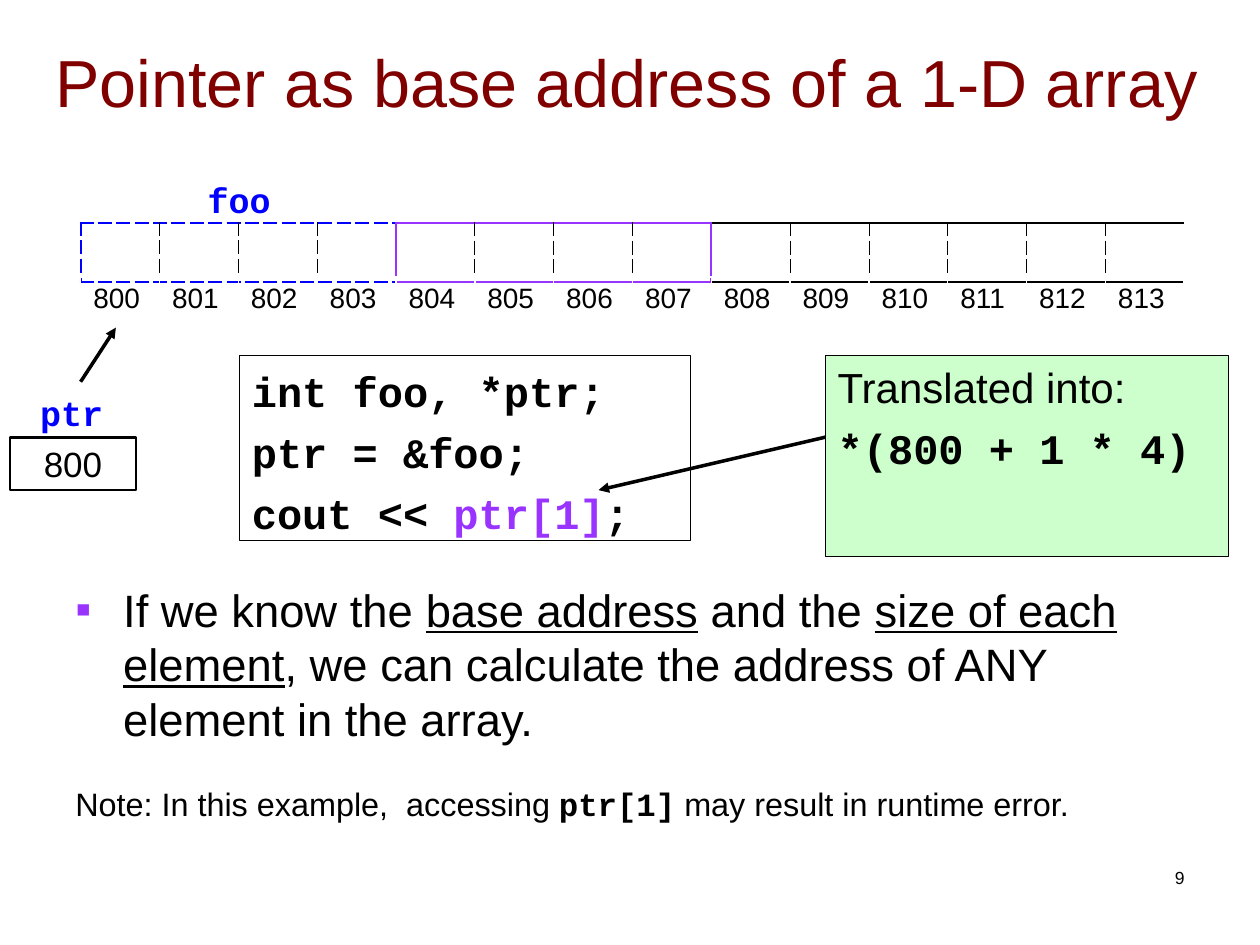
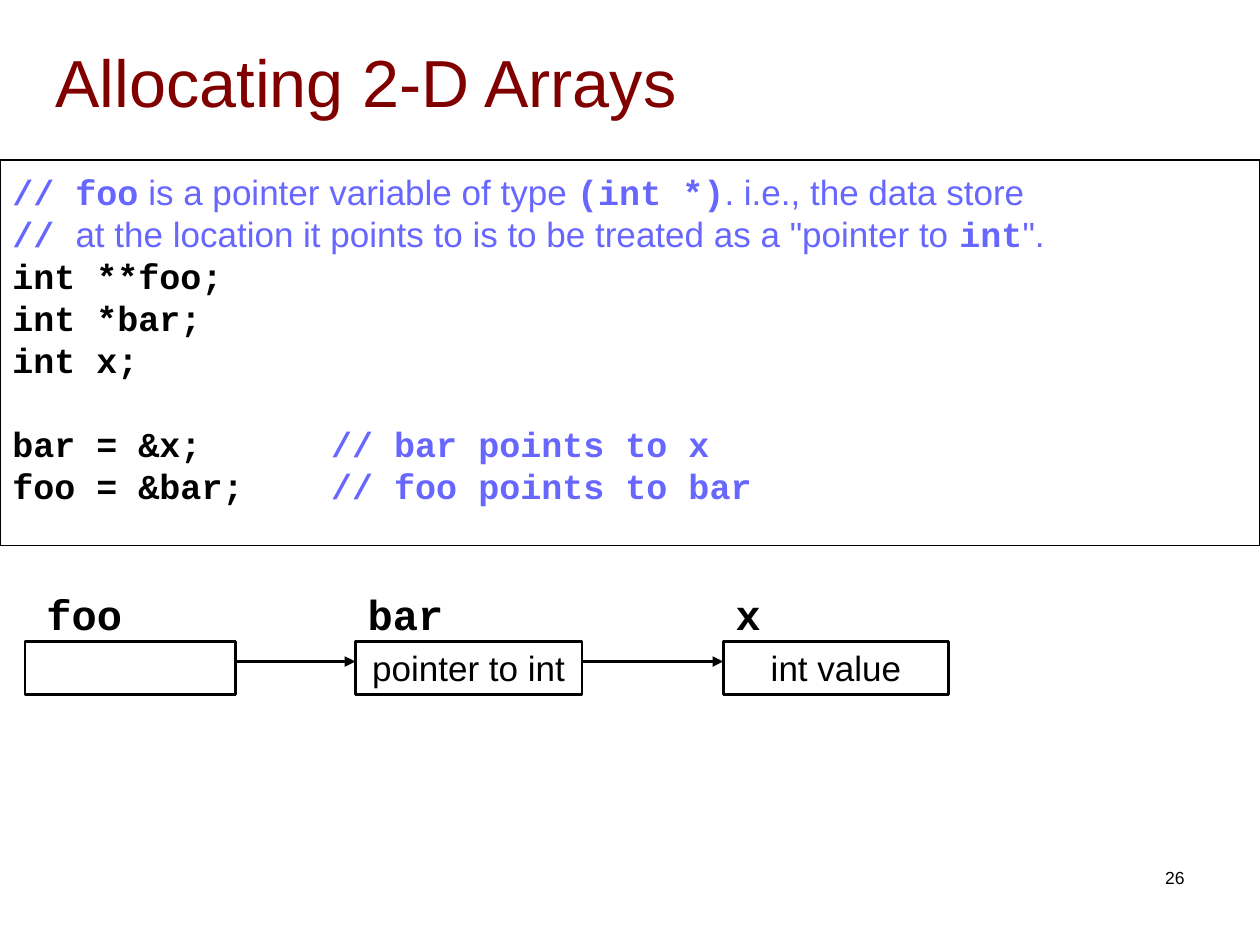
from dataclasses import dataclass

from lxml import etree
from pptx import Presentation
from pptx.dml.color import RGBColor
from pptx.enum.shapes import MSO_CONNECTOR, MSO_SHAPE
from pptx.enum.text import MSO_ANCHOR, PP_ALIGN
from pptx.oxml.ns import qn
from pptx.util import Inches, Pt

RECTANGLE = MSO_SHAPE.RECTANGLE
STRAIGHT = MSO_CONNECTOR.STRAIGHT
TOP, MIDDLE = MSO_ANCHOR.TOP, MSO_ANCHOR.MIDDLE
LEFT, CENTER, RIGHT = PP_ALIGN.LEFT, PP_ALIGN.CENTER, PP_ALIGN.RIGHT

BLACK = RGBColor(0x00, 0x00, 0x00)
WHITE = RGBColor(0xFF, 0xFF, 0xFF)
MAROON = RGBColor(0x80, 0x00, 0x00)
BLUE = RGBColor(0x00, 0x00, 0xFF)
PURPLE = RGBColor(0x99, 0x33, 0xFF)
COMMENT_BLUE = RGBColor(0x67, 0x67, 0xFF)
PALE_GREEN = RGBColor(0xCC, 0xFF, 0xCC)

SANS, MONO = "Arial", "Courier New"
COLUMNS, ROWS = 10, 7.5
LINE_HEIGHT = 1.2
CELL_COUNT, INT_BYTES, BASE_ADDRESS = 14, 4, 800
ARRAY_LEFT, ARRAY_WIDTH = 0.64, 8.76


@dataclass
class Span:
    text: str
    font: str = SANS
    color: RGBColor = BLACK
    underline: bool = False


def code(text, color=BLACK):
    return Span(text, MONO, color)


def note(text):
    return Span(text, SANS, COMMENT_BLUE)


def grid(*lengths):
    return [Inches(length) for length in lengths]


def style_font(font, span, size):
    font.name = span.font
    font.size = Pt(size)
    font.bold = span.font == MONO
    font.color.rgb = span.color


def write_para(para, spans, size, align=LEFT, before=0):
    para.alignment = align
    para.line_spacing = Pt(round(size * LINE_HEIGHT, 1))
    para.space_before = Pt(before)
    style_font(para.font, spans[0], size)
    for item in spans:
        span = para.add_run()
        span.text = item.text
        if (item.font, item.color) != (spans[0].font, spans[0].color):
            style_font(span.font, item, size)
        if item.underline:
            span.font.underline = True


def write_lines(box, lines, size, align=LEFT, anchor=TOP, before=0, wrap=True):
    frame = box.text_frame
    frame.word_wrap = wrap
    frame.vertical_anchor = anchor
    if lines[0][0].font == MONO:
        frame.margin_top = Inches(0.08)
    for index, spans in enumerate(lines):
        para = frame.add_paragraph() if index else frame.paragraphs[0]
        write_para(para, spans, size, align, before if index else 0)


def add_label(page, area, spans, size, align=LEFT, wrap=False):
    box = page.shapes.add_textbox(*grid(*area))
    write_lines(box, [spans], size, align, wrap=wrap)
    return box


def add_box(page, area, weight, fill=None):
    box = page.shapes.add_shape(RECTANGLE, *grid(*area))
    box.shadow.inherit = False
    if fill is None:
        box.fill.background()
    else:
        box.fill.solid()
        box.fill.fore_color.rgb = fill
    box.line.color.rgb = BLACK
    box.line.width = Pt(weight)
    return box


def add_value_box(page, area, text):
    box = add_box(page, area, 1.5)
    if text:
        write_lines(box, [[Span(text)]], 20, CENTER, MIDDLE)


def add_arrow(page, start, end):
    arrow = page.shapes.add_connector(STRAIGHT, *grid(*start, *end))
    arrow.line.color.rgb = BLACK
    arrow.line.width = Pt(2)
    etree.SubElement(arrow.line._get_or_add_ln(), qn("a:tailEnd"), type="triangle")
    etree.SubElement(arrow._element.spPr, qn("a:effectLst"))


def add_page(deck, title, number):
    page = deck.slides.add_slide(deck.slide_layouts[5])
    heading = page.shapes.title
    heading.left, heading.top, heading.width, heading.height = grid(0.34, 0.14, 9.37, 1.01)
    write_lines(heading, [[Span(title, color=MAROON)]], 38, anchor=MIDDLE)
    add_label(page, (7.17, 6.83, 2.33, 0.5), [Span(str(number))], 10, RIGHT, True)
    return page


def add_strip(page, top, height):
    area = grid(ARRAY_LEFT, top, ARRAY_WIDTH, height)
    table = page.shapes.add_table(1, CELL_COUNT, *area).table
    table.first_row = table.horz_banding = False
    for column in table.columns:
        column.width = Inches(ARRAY_WIDTH / CELL_COUNT)
    cells = [table.cell(0, index) for index in range(CELL_COUNT)]
    for cell in cells:
        cell.fill.background()
        cell.text_frame.paragraphs[0].font.size = Pt(12)
    return cells


def set_border(cell, position, side, color, weight, dash="solid"):
    line = etree.Element(qn(f"a:ln{side}"), w=str(Pt(weight)))
    fill = etree.SubElement(line, qn("a:solidFill"))
    etree.SubElement(fill, qn("a:srgbClr"), val=str(color))
    etree.SubElement(line, qn("a:prstDash"), val=dash)
    cell._tc.get_or_add_tcPr().insert(position, line)


def add_memory(page):
    divider = (BLACK, 0.45, "dash")
    first_int, second_int, rest = (BLUE, 1.47, "dash"), (PURPLE, 1.08), (BLACK, 1.08)
    edges = [first_int] * INT_BYTES + [second_int] * INT_BYTES
    edges += [rest] * (CELL_COUNT - len(edges))
    walls = [divider] * (CELL_COUNT + 1)
    walls[0] = first_int
    walls[INT_BYTES] = walls[2 * INT_BYTES] = second_int
    walls[-1] = (WHITE, 0.45)
    for index, cell in enumerate(add_strip(page, 1.77, 0.4 + 0.07)):
        borders = zip("LRTB", (walls[index], walls[index + 1], edges[index], edges[index]))
        for position, (side, border) in enumerate(borders):
            set_border(cell, position, side, *border)
    for address, cell in enumerate(add_strip(page, 2.2, 0.37), BASE_ADDRESS):
        para = cell.text_frame.paragraphs[0]
        para.text = str(address)
        style_font(para.font, Span(""), 16)


def set_bullet(para, mark, color, indent):
    props = para._p.get_or_add_pPr()
    props.set("marL", str(Inches(indent)))
    props.set("indent", str(-Inches(indent)))
    bullet_color = etree.SubElement(props, qn("a:buClr"))
    etree.SubElement(bullet_color, qn("a:srgbClr"), val=str(color))
    etree.SubElement(props, qn("a:buFont"), typeface=SANS)
    etree.SubElement(props, qn("a:buChar"), char=mark)
    default = props.find(qn("a:defRPr"))
    if default is not None:
        props.append(default)


def set_tab_stop(para, position):
    props = para._p.get_or_add_pPr()
    stops = etree.SubElement(props, qn("a:tabLst"))
    etree.SubElement(stops, qn("a:tab"), pos=str(Inches(position)), algn="l")
    default = props.find(qn("a:defRPr"))
    if default is not None:
        props.append(default)


def add_explanation(page):
    box = add_label(page, (0.5, 4.57, 9.26, 2.13), [
        Span("If we know the "),
        Span("base address", underline=True),
        Span(" and the "),
        Span("size of each element", underline=True),
        Span(", we can calculate the address of ANY element in the array."),
    ], 25.9, wrap=True)
    set_bullet(box.text_frame.paragraphs[0], "▪", PURPLE, 0.38)
    remark = [Span("Note: In this example,  accessing "), code("ptr[1]"),
              Span(" may result in runtime error.")]
    write_para(box.text_frame.add_paragraph(), remark, 18.5, before=22)


def build_pointer_page(deck):
    page = add_page(deck, "Pointer as base address of a 1-D array", 9)
    add_explanation(page)
    add_memory(page)
    add_label(page, (1.55, 1.34, 0.7, 0.44), [code("foo", BLUE)], 20)
    add_label(page, (0.22, 3.03, 0.7, 0.44), [code("ptr", BLUE)], 20)
    add_arrow(page, (0.64, 3.03), (0.92, 2.6))
    add_value_box(page, (0.08, 3.47, 1, 0.42), "800")
    program = add_box(page, (1.9, 2.82, 3.58, 1.47), 0.75)
    write_lines(program, [
        [code("int foo, *ptr;")],
        [code("ptr = &foo;")],
        [code("cout << "), code("ptr[1]", PURPLE), code(";")],
    ], 24, before=6)
    translation = add_box(page, (6.55, 2.82, 3.2, 1.6), 0.75, PALE_GREEN)
    write_lines(translation, [[Span("Translated into:")], [code("*(800 + 1 * 4)")]], 24, before=6)
    add_arrow(page, (6.55, 3.47), (4.75, 3.89))


def build_allocation_page(deck):
    page = add_page(deck, "Allocating 2-D Arrays", 26)
    program = add_box(page, (0, 1.27, COLUMNS, 3.06), 0.75, WHITE)
    write_lines(program, [
        [code("// foo", COMMENT_BLUE), note(" is a pointer variable of type "),
         code("(int *)", COMMENT_BLUE), note(". i.e., the data store")],
        [code("// ", COMMENT_BLUE),
         note('at the location it points to is to be treated as a "pointer to '),
         code("int", COMMENT_BLUE), note('".')],
        [code("int **foo;")],
        [code("int *bar;")],
        [code("int x;")],
        [code("bar = &x;\t"), code("// bar points to x", COMMENT_BLUE)],
        [code("foo = &bar;\t"), code("// foo points to bar", COMMENT_BLUE)],
    ], 20)
    assignments = program.text_frame.paragraphs[-2:]
    assignments[0].space_before = Pt(20 * LINE_HEIGHT)
    for para in assignments:
        set_tab_stop(para, 2.53)

    variables = [
        ("foo", "", 0.2, 1.67, 0.27),
        ("bar", "pointer to int", 2.82, 1.8, 2.82),
        ("x", "int value", 5.74, 1.79, 5.74),
    ]
    for name, value, left, width, label_left in variables:
        add_value_box(page, (left, 5.09, width, 0.42), value)
        add_label(page, (label_left, 4.59, 0.8, 0.5), [code(name)], 24)
    for source, target in zip(variables, variables[1:]):
        add_arrow(page, (source[2] + source[3], 5.25), (target[2], 5.25))


def main():
    deck = Presentation()
    deck.slide_width, deck.slide_height = grid(COLUMNS, ROWS)
    build_pointer_page(deck)
    build_allocation_page(deck)
    deck.save("out.pptx")


if __name__ == "__main__":
    main()
